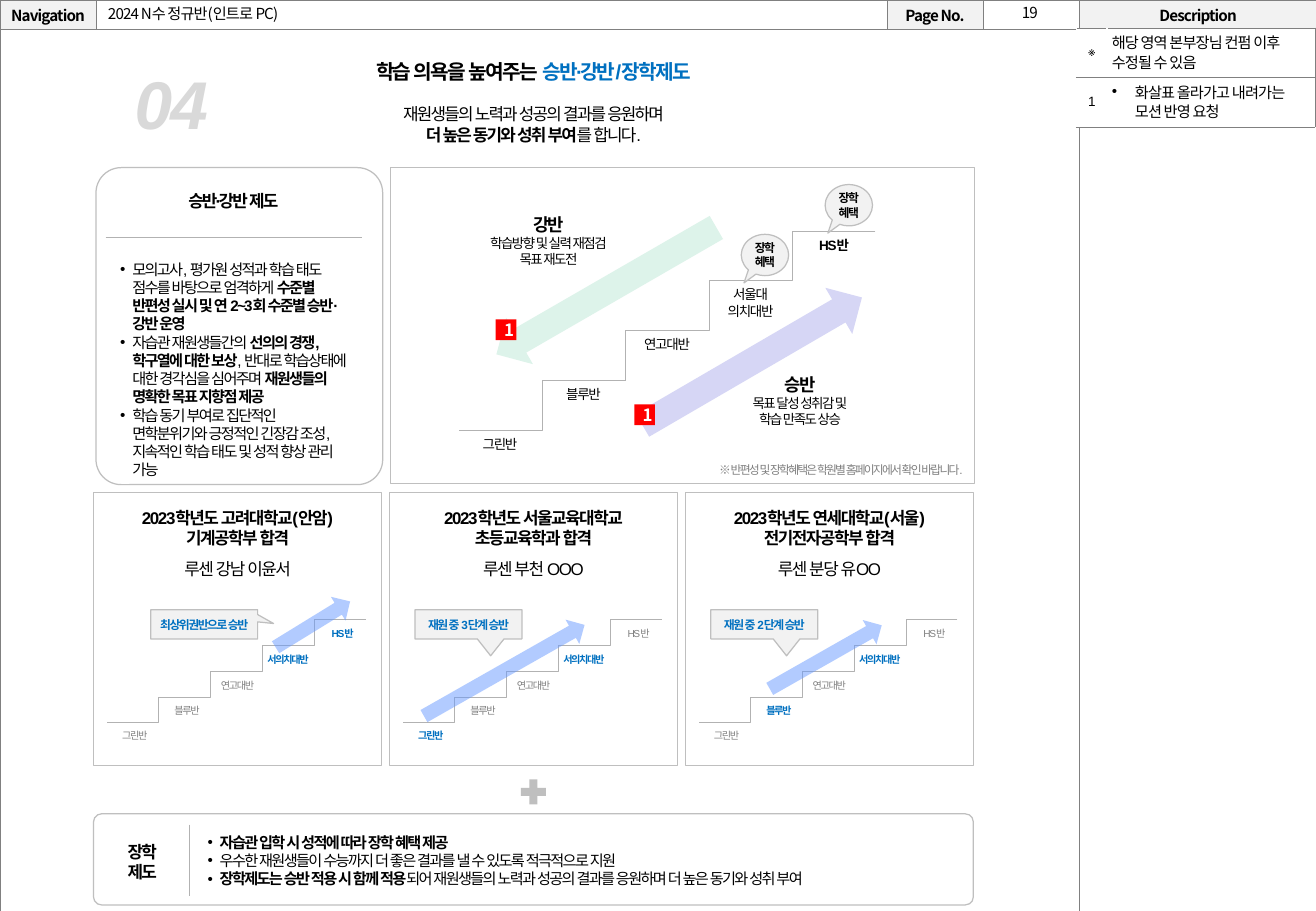
from lxml import etree
from pptx import Presentation
from pptx.dml.color import RGBColor
from pptx.enum.shapes import MSO_CONNECTOR, MSO_SHAPE
from pptx.enum.text import MSO_ANCHOR, PP_ALIGN
from pptx.oxml.ns import qn
from pptx.util import Inches, Pt

LEFT, CENTER, RIGHT = PP_ALIGN.LEFT, PP_ALIGN.CENTER, PP_ALIGN.RIGHT
MIDDLE = MSO_ANCHOR.MIDDLE
RECT, ROUNDED, ARROW = MSO_SHAPE.RECTANGLE, MSO_SHAPE.ROUNDED_RECTANGLE, MSO_SHAPE.UP_ARROW
BALLOON, FLAG = MSO_SHAPE.OVAL_CALLOUT, MSO_SHAPE.RECTANGULAR_CALLOUT
PLUS = MSO_SHAPE.MATH_PLUS
STRAIGHT, ELBOW = MSO_CONNECTOR.STRAIGHT, MSO_CONNECTOR.ELBOW
NOTO = "Noto Sans CJK KR"
BLUE, GRAY, BORDER, PALE = "0070C0", "808080", "BFBFBF", "F2F2F2"
BOLD = {"bold": True}


def put_text(frame, paras, size, color="000000", bold=False, spacing=-1.0, align=CENTER,
             font="Arial", east="Arial", indent=0, italic=False):
    """Each paragraph is a string or a list of (text, overrides) spans."""
    for number, spans in enumerate(paras):
        para = frame.paragraphs[0] if number == 0 else frame.add_paragraph()
        para.alignment = align
        if indent:
            properties = para._p.get_or_add_pPr()
            properties.set("marL", str(Inches(indent)))
            properties.set("indent", str(-Inches(indent)))
            etree.SubElement(properties, qn("a:buFont"), typeface="Arial")
            etree.SubElement(properties, qn("a:buChar"), char="•")
        for text, change in [(spans, {})] if isinstance(spans, str) else spans:
            span = para.add_run()
            span.text = text
            span.font.size = Pt(change.get("size", size))
            span.font.bold = change.get("bold", bold)
            span.font.italic = italic
            span.font.name = font
            span.font.color.rgb = RGBColor.from_string(change.get("color", color))
            span._r.rPr.set("spc", str(int(spacing * 100)))
            etree.SubElement(span._r.rPr, qn("a:ea"), typeface=east)


def add_box(kind, at, fill=None, line=None, weight=0.25, adjust=(), turn=0):
    """Add a preset shape, or a text box when kind is None."""
    place = [Inches(length) for length in at]
    if kind is None:
        box = page.shapes.add_textbox(*place)
        box.text_frame.word_wrap = True
        return box
    box = page.shapes.add_shape(kind, *place)
    box.shadow.inherit = False
    box.rotation = turn
    box.fill.solid()
    box.fill.fore_color.rgb = RGBColor.from_string(fill)
    if line:
        box.line.color.rgb = RGBColor.from_string(line)
        box.line.width = Pt(weight)
    else:
        box.line.fill.background()
    for number, value in enumerate(adjust):
        box.adjustments[number] = value
    box.text_frame.vertical_anchor = MIDDLE
    box.text_frame.word_wrap = False
    return box


deck = Presentation()
deck.slide_width, deck.slide_height = Inches(10.83), Inches(7.5)
page = deck.slides.add_slide(deck.slide_layouts[6])

# Page frame and description tables
frame_table = page.shapes.add_table(2, 5, 0, 0, Inches(10.84), Inches(7.51)).table
note_table = page.shapes.add_table(2, 2, Inches(8.86), Inches(0.23), Inches(1.96), Inches(0.8)).table
headings = {0: "Navigation", 2: "Page No.", 4: "Description"}
for table, widths, heights, margin, sides in (
        (frame_table, (0.79, 6.51, 0.79, 0.79, 1.96), (0.24, 7.27), 0, ("lnL", "lnR", "lnT", "lnB")),
        (note_table, (0.25, 1.71), (0.4, 0.4), 0.04, ("lnR", "lnT", "lnB"))):
    for column, width in zip(table.columns, widths):
        column.width = Inches(width)
    for row, height in zip(table.rows, heights):
        row.height = Inches(height)
    for cell in table.iter_cells():
        cell.margin_left = cell.margin_right = Inches(margin)
        cell.margin_top = cell.margin_bottom = Inches(margin)
        cell.vertical_anchor = MIDDLE
        for side in sides:
            edge = etree.SubElement(cell._tc.get_or_add_tcPr(), qn("a:" + side), w=str(Pt(0.25)))
            paint = etree.SubElement(edge, qn("a:solidFill"))
            etree.SubElement(paint, qn("a:srgbClr"), val=GRAY)
        cell.fill.solid()
        cell.fill.fore_color.rgb = RGBColor.from_string("FFFFFF")
for index in range(5):
    cell = frame_table.cell(0, index)
    if index in headings:
        cell.fill.fore_color.rgb = RGBColor.from_string(PALE)
        put_text(cell.text_frame, [headings[index]], 9, bold=True, spacing=-0.5, font=NOTO, east=NOTO)
    else:
        etree.SubElement(cell.text_frame.paragraphs[0]._p, qn("a:endParaRPr"), sz="900")
frame_table.cell(1, 0).merge(frame_table.cell(1, 3))

notes = (("※", "해당 영역 본부장님 컨펌 이후 수정될 수 있음", 0),
         ("1", "화살표 올라가고 내려가는 모션 반영 요청", 0.19))
for index, (mark, note, indent) in enumerate(notes):
    mark_frame, note_frame = [note_table.cell(index, column).text_frame for column in (0, 1)]
    put_text(mark_frame, [mark], 8, east=NOTO)
    put_text(note_frame, [note], 9, spacing=-0.5, align=LEFT, east=NOTO, indent=indent)
    for cell_frame in (mark_frame, note_frame):
        cell_frame.paragraphs[0].line_spacing = 0.9

box = add_box(None, (8.09, -0.02, 0.77, 0.25))
put_text(box.text_frame, ["19"], 9, spacing=-0.5, font=NOTO, east=NOTO)
box = add_box(None, (0.79, 0, 6.52, 0.23))
box.text_frame.vertical_anchor = MIDDLE
put_text(box.text_frame, ["2024 N수 정규반(인트로 PC)"], 9, spacing=-0.5, align=LEFT, font=NOTO, east=NOTO)

# Section heading
box = add_box(None, (0.77, 0.44, 7.24, 0.81))
put_text(box.text_frame, [
    [("학습 의욕을 높여주는 ", {"size": 12, "bold": True}),
     ("승반∙강반/장학제도", {"size": 12, "bold": True, "color": BLUE})],
    "재원생들의 노력과 성공의 결과를 응원하며",
    [("더 높은 동기와 성취 부여", BOLD), ("를 합니다.", {})]], 10)
box.text_frame.paragraphs[1].space_before = Pt(12)
box = add_box(None, (1.01, 0.46, 0.87, 0.77))
put_text(box.text_frame, ["04"], 40, "D9D9D9", True, align=LEFT, italic=True)

# Panels
panel_lefts = [0.77 + 2.435 * index for index in range(3)]
add_box(RECT, (3.21, 1.38, 4.81, 2.6), "FFFFFF", BORDER)
add_box(ROUNDED, (0.79, 1.38, 2.36, 2.61), "FFFFFF", BORDER, 0, [0.088])
for left in panel_lefts:
    add_box(RECT, (left, 4.05, 2.37, 2.25), "FFFFFF", BORDER)
add_box(ROUNDED, (0.77, 6.7, 7.24, 0.75), "FFFFFF", BORDER, 0, [0.088])

# Staircases and dividers
lines = [(STRAIGHT, 0.87, 1.95, 2.98, 1.95), (STRAIGHT, 1.56, 6.79, 1.56, 7.38)]
stairs = [(3.78, 3.54, 0.685, 0.41)] + [(left + 0.11, 5.95, 0.426, 0.2125) for left in panel_lefts]
for left, bottom, run, rise in stairs:
    for step in range(4):
        lines.append((ELBOW, left + (step + 2) * run, bottom - (step + 1) * rise,
                      left + step * run, bottom - step * rise))
for kind, *ends in lines:
    line = page.shapes.add_connector(kind, *[Inches(end) for end in ends])
    line.line.color.rgb = RGBColor.from_string("B2B2B2")
    line.line.width = Pt(0.25)
    etree.SubElement(line._element.spPr, qn("a:effectLst"))

# Class levels with promotion and demotion arrows
levels = (["그린반"], ["블루반"], ["연고대반"], ["서울대", "의치대반"], ["HS반"])
for step, level in enumerate(levels):
    box = add_box(None, (3.77 + 0.6875 * step, 3.54 - 0.41 * step, 0.69, 0.24))
    put_text(box.text_frame, level, 8, bold=step == 4, spacing=-0.8)
moves = (((5.97, 1.93, 0.44, 2.09), 59.8, "D6D6F5", (5.92, 3.03, 1.33, 0.55),
          "승반", "목표 달성 성취감 및", "학습 만족도 상승"),
         ((4.77, 1.35, 0.44, 2.09), 240, "DDF3EA", (3.85, 1.71, 1.33, 0.55),
          "강반", "학습방향 및 실력 재점검", "목표 재도전"))
for arrow_at, turn, color, text_at, heading, *details in moves:
    add_box(ARROW, arrow_at, color, turn=turn)
    box = add_box(None, text_at)
    put_text(box.text_frame, [[(heading, {"size": 10.5, "bold": True})], *details], 8)
for left, top in ((6.79, 1.52), (6.1, 1.93)):
    box = add_box(BALLOON, (left, top, 0.39, 0.34), PALE, BORDER, 0, (-0.441, 0.674))
    put_text(box.text_frame, ["장학", "혜택"], 7, bold=True, spacing=-0.8)
box = add_box(None, (4.4, 3.76, 3.62, 0.22))
put_text(box.text_frame, ["※ 반편성 및 장학혜택은 학원별 홈페이지에서 확인 바랍니다."], 7, GRAY, align=RIGHT)

# Promotion rules
box = add_box(None, (1.14, 1.52, 1.56, 0.27))
put_text(box.text_frame, ["승반∙강반 제도"], 10, bold=True)
box = add_box(None, (0.89, 2.09, 2.09, 1.77))
put_text(box.text_frame, [
    [("모의고사, 평가원 성적과 학습 태도 점수를 바탕으로 엄격하게 ", {}),
     ("수준별 반편성 실시 및 연 2~3회 수준별 승반·강반 운영", BOLD)],
    [("자습관 재원생들간의 ", {}), ("선의의 경쟁, 학구열에 대한 보상", BOLD),
     (", 반대로 학습상태에 대한 경각심을 심어주며 ", {}), ("재원생들의 명확한 목표 지향점 제공", BOLD)],
    "학습 동기 부여로 집단적인 면학분위기와 긍정적인 긴장감 조성, 지속적인 학습 태도 및 성적 향상 관리 가능",
], 9, align=LEFT, indent=0.1)

# Student cases: text, highlighted levels, callout, arrow
cases = (
    (("2023학년도 고려대학교(안암)", "기계공학부 합격", "루센 강남 이윤서"), (3, 4),
     "최상위권반으로 승반", 0.47, (0.649, -0.027), (1.69, 4.78, 0.23, 0.72), 58.4),
    (("2023학년도 서울교육대학교", "초등교육학과 합격", "루센 부천 OOO"), (0, 3),
     "재원 중 3단계 승반", 0.21, (0.208, 1.079), (0.83, 4.76, 0.23, 1.52), 60.4),
    (("2023학년도 연세대학교(서울)", "전기전자공학부 합격", "루센 분당 유OO"), (1, 3),
     "재원 중 2단계 승반", 0.21, (0.208, 1.079), (1.04, 4.88, 0.23, 1.06), 60.4))
case_levels = (("그린반", 0.12, 0.44), ("블루반", 0.55, 0.44), ("연고대반", 0.92, 0.53),
               ("서의치대반", 1.31, 0.58), ("HS반", 1.83, 0.44))
for left, (titles, reached, callout, offset, tip, arrow, turn) in zip(panel_lefts, cases):
    box = add_box(None, (left, 4.13, 2.37, 0.71))
    put_text(box.text_frame, [[(titles[0], BOLD)], [(titles[1], BOLD)], titles[2]], 10, spacing=-0.8)
    box.text_frame.paragraphs[2].space_before = Pt(6)
    for step, (level, shift, width) in enumerate(case_levels):
        box = add_box(None, (left + shift, 5.96 - 0.21 * step, width, 0.2))
        hit = step in reached
        put_text(box.text_frame, [level], 6, BLUE if hit else GRAY, hit, -0.8)
    box = add_box(FLAG, (left + offset, 5.02, 0.88, 0.24), PALE, BORDER, 0, tip)
    put_text(box.text_frame, [callout], 7, BLUE, True, -0.8)
    box = add_box(ARROW, (left + arrow[0], *arrow[1:]), "6699FF", turn=turn)
    etree.SubElement(box._element.spPr.find(".//" + qn("a:srgbClr")), qn("a:alpha"), val="50000")

# Scholarship
add_box(PLUS, (4.25, 6.38, 0.28, 0.28), BORDER)
box = add_box(None, (0.86, 6.88, 0.62, 0.44))
put_text(box.text_frame, ["장학", "제도"], 10, bold=True)
box = add_box(None, (1.61, 6.81, 6.32, 0.56))
put_text(box.text_frame, [
    [("자습관 입학 시 성적에 따라 장학 혜택 제공", BOLD)],
    "우수한 재원생들이 수능까지 더 좋은 결과를 낼 수 있도록 적극적으로 지원",
    [("장학제도는 승반 적용 시 함께 적용", BOLD),
     ("되어 재원생들의 노력과 성공의 결과를 응원하며 더 높은 동기와 성취 부여", {})],
], 9, align=LEFT, indent=0.1)

# Description markers
for left, top in ((4.08, 2.63), (5.22, 3.33)):
    box = add_box(RECT, (left, top, 0.17, 0.17), "FF0000")
    box.text_frame.margin_left, box.text_frame.margin_right = Inches(0.05), 0
    box.text_frame.margin_top = box.text_frame.margin_bottom = 0
    put_text(box.text_frame, ["1"], 10, "FFFFFF", True, 0, font=NOTO, east=NOTO)

deck.save("out.pptx")
